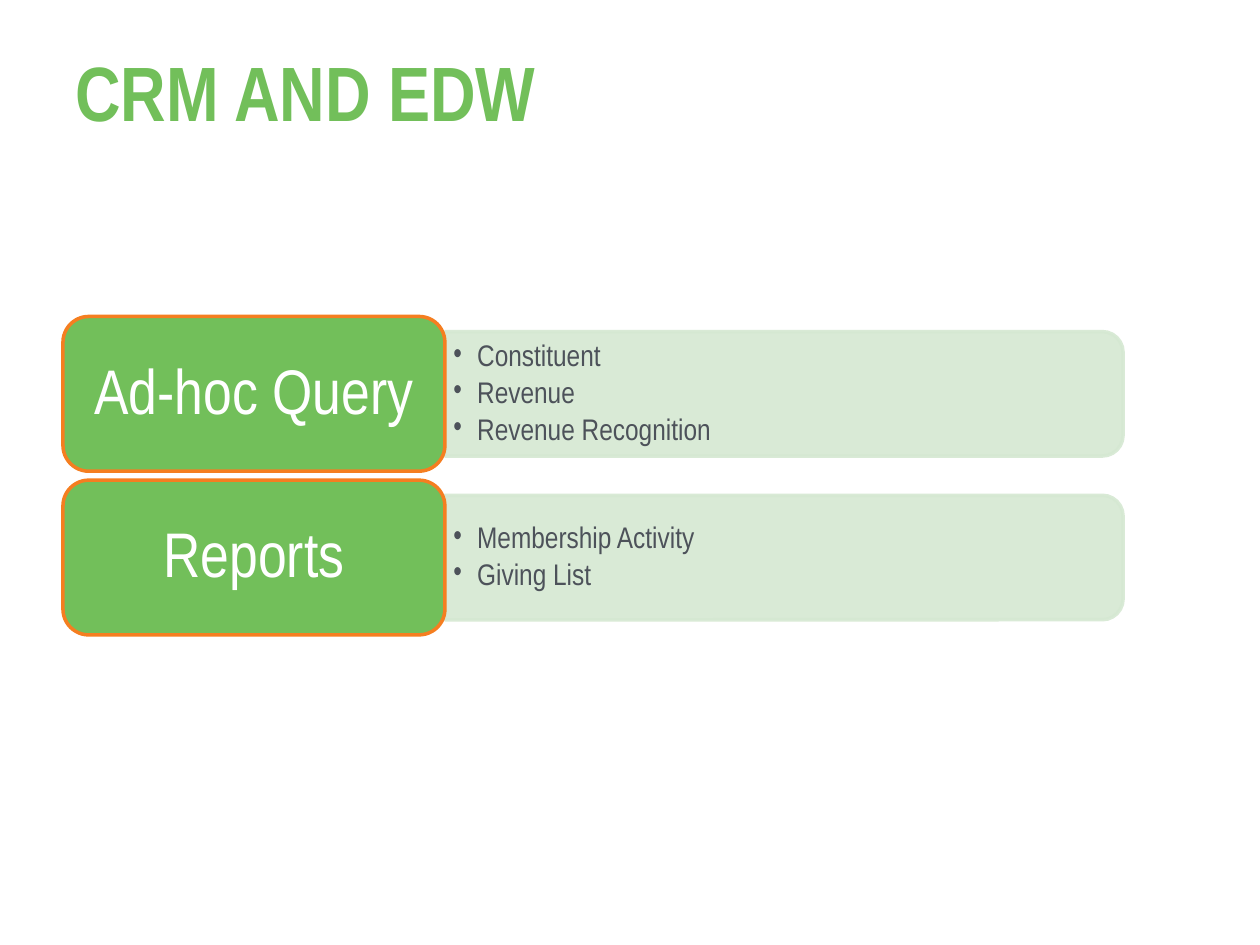
from pptx import Presentation
from pptx.dml.color import RGBColor
from pptx.enum import shapes, text
from pptx.oxml.ns import qn
from pptx.util import Cm, Pt
from lxml import etree

TITLE = "CRM AND EDW"
ROWS = [
    ("Ad-hoc Query", ["Constituent", "Revenue", "Revenue Recognition"]),
    ("Reports", ["Membership Activity", "Giving List"]),
]
HUES = {"green": "72BF5A", "pale": "D5E8D2", "orange": "F57E20",
        "grey": "4D525A", "white": "FFFFFF"}
FONT = "Arial Narrow"

# Lengths in cm
LEFT, TOP, STEP = 1.27, 6.38, 3.3
CARD_W, CARD_H = 7.7, 3.12
BAR_W, BAR_H = 13.67, 2.51
LIST_W, LIST_H = 13.54, 2.26


def hue(name):
    return RGBColor.from_string(HUES[name])


def fade(fill):
    """Make a solid fill 90 % opaque."""
    tint = fill.find(".//" + qn("a:srgbClr"))
    etree.SubElement(tint, qn("a:alpha"), val="90000")


def add_block(kind, x, y, w, h, fill, line):
    block = slide.shapes.add_shape(kind, Cm(x), Cm(y), Cm(w), Cm(h))
    block.shadow.inherit = False
    block.fill.solid()
    block.fill.fore_color.rgb = hue(fill)
    block.line.color.rgb = hue(line)
    block.line.width = Pt(2)
    return block


def add_box(x, y, w, h):
    return slide.shapes.add_textbox(Cm(x), Cm(y), Cm(w), Cm(h))


def set_frame(shape, side, edge):
    frame = shape.text_frame
    frame.word_wrap = True
    frame.vertical_anchor = text.MSO_ANCHOR.MIDDLE
    frame.margin_left = frame.margin_right = Cm(side)
    frame.margin_top = frame.margin_bottom = Cm(edge)
    return frame


def style(para, size, color, bold=False):
    font = para.font
    font.name, font.size, font.bold = FONT, Pt(size), bold
    font.color.rgb = hue(color)


def add_bar(mid):
    """Draw a bar turned so that its round corners face right."""
    x = LEFT + CARD_W + (BAR_W - BAR_H) / 2
    bar = add_block(shapes.MSO_SHAPE.ROUND_2_SAME_RECTANGLE,
                    x, mid - BAR_W / 2, BAR_H, BAR_W, "pale", "pale")
    bar.rotation = 90
    props = bar._element.spPr
    fade(props.find(qn("a:solidFill")))
    fade(props.find(qn("a:ln")))


def add_list(items, mid):
    box = add_box(LEFT + CARD_W, mid - LIST_H / 2, LIST_W, LIST_H)
    frame = set_frame(box, 0.17, 0.09)
    frame.text = "\n".join(items)
    for para in frame.paragraphs:
        props = para._p.get_or_add_pPr()
        props.set("marL", str(Cm(0.48)))
        props.set("indent", str(Cm(-0.48)))
        para.line_spacing = 0.9
        para.space_after = Pt(2.55)
        etree.SubElement(props, qn("a:buFont"), typeface=FONT)
        etree.SubElement(props, qn("a:buChar"), char="•")
        style(para, 17, "grey")


def add_card(label, y):
    card = add_block(shapes.MSO_SHAPE.ROUNDED_RECTANGLE,
                     LEFT, y, CARD_W, CARD_H, "green", "orange")
    frame = set_frame(card, 0.4, 0.18)
    frame.text = label
    para = frame.paragraphs[0]
    para.alignment = text.PP_ALIGN.CENTER
    para.line_spacing = 0.9
    style(para, 36, "white")


deck = Presentation()
deck.slide_width, deck.slide_height = Cm(25.4), Cm(19.05)
slide = deck.slides.add_slide(deck.slide_layouts[6])

head = set_frame(add_box(LEFT, 0.76, 22.86, 2.41), 0.25, 0.13)
head.margin_bottom = Cm(0.41)
head.text = TITLE
style(head.paragraphs[0], 44, "green", bold=True)

for i, (label, items) in enumerate(ROWS):
    y = TOP + i * STEP
    mid = y + CARD_H / 2
    add_bar(mid)
    add_list(items, mid)
    add_card(label, y)

deck.save("out.pptx")
